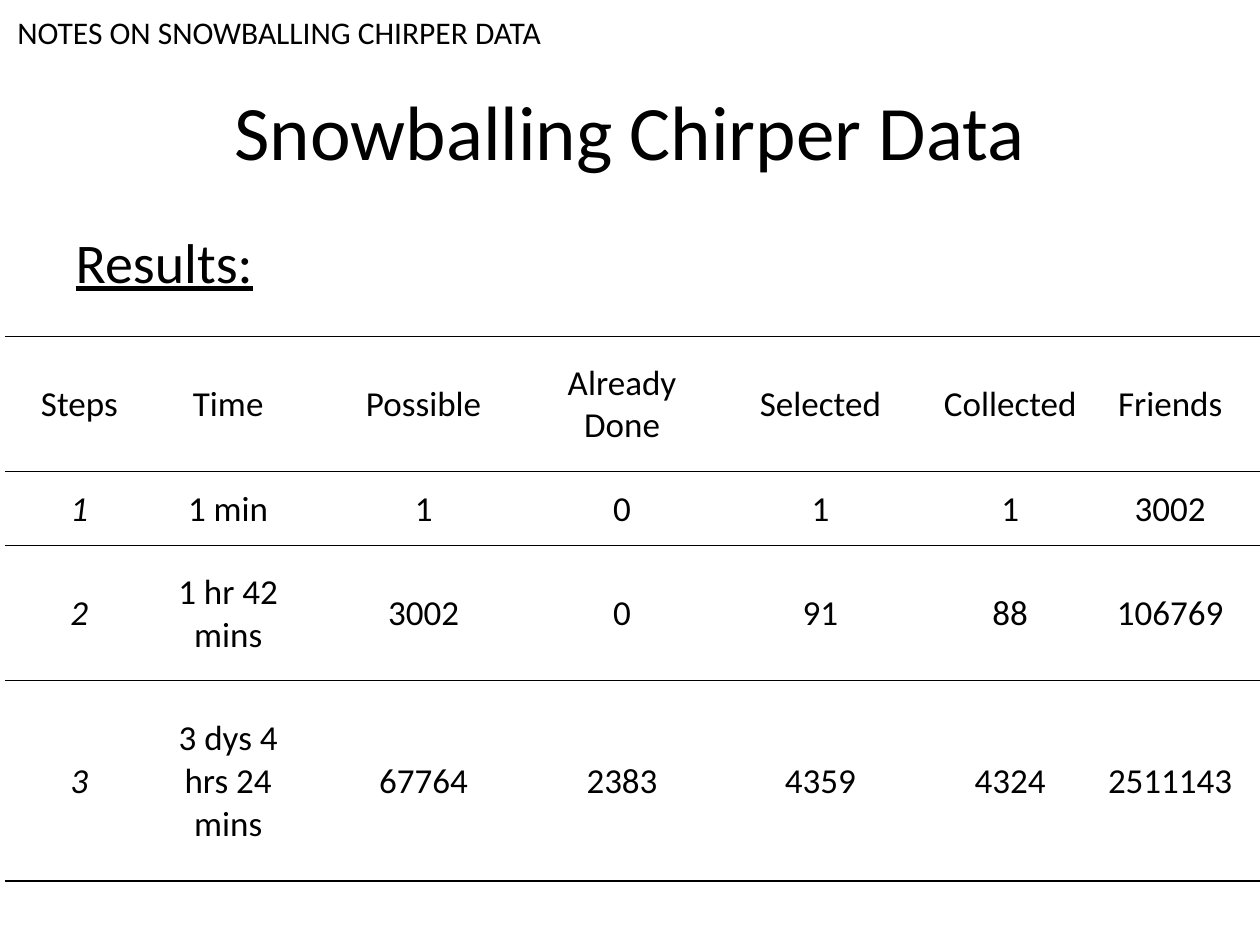
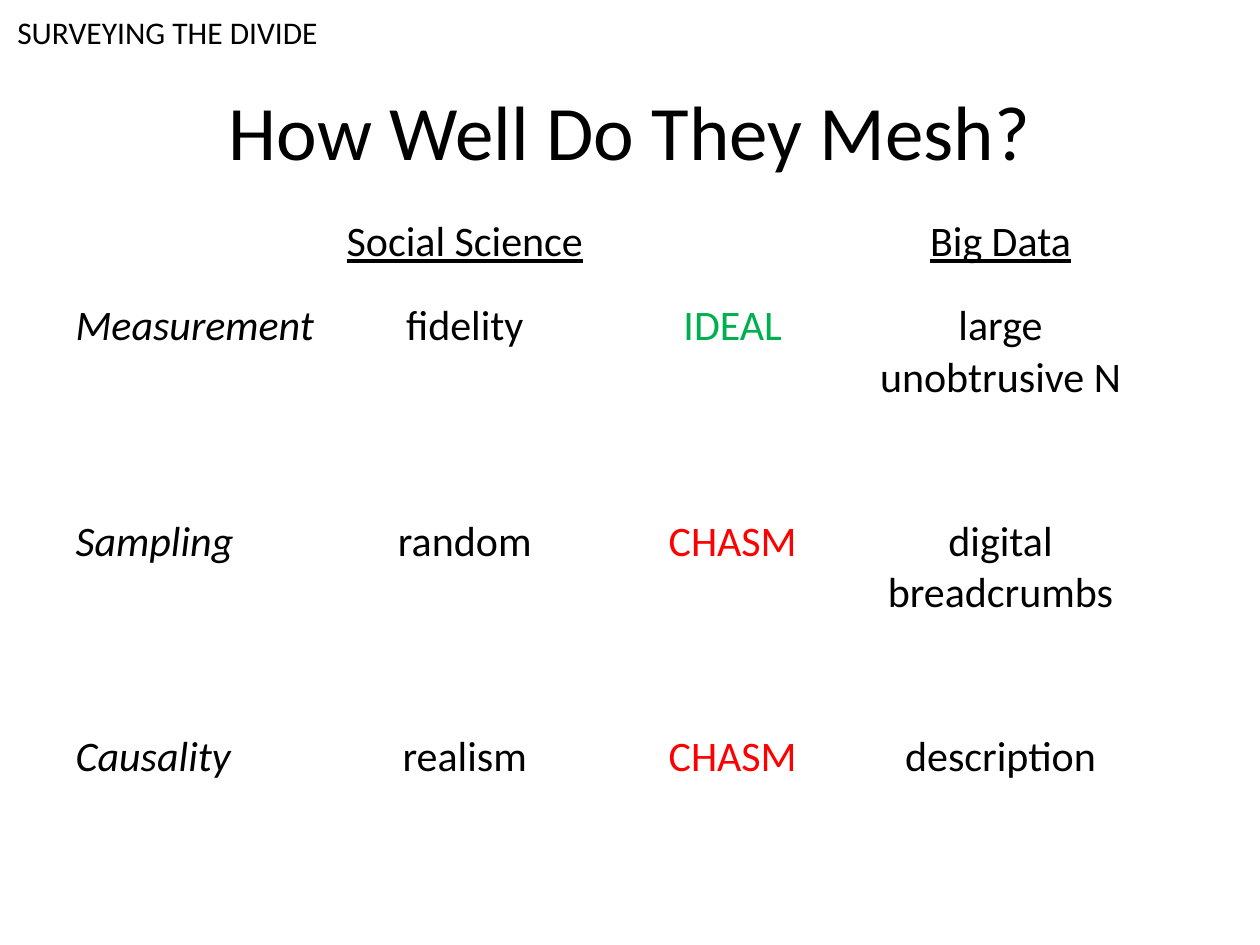
from lxml.etree import SubElement
from pptx import Presentation
from pptx.dml.color import RGBColor
from pptx.enum.text import MSO_ANCHOR, MSO_AUTO_SIZE, PP_ALIGN
from pptx.oxml.ns import qn
from pptx.util import Cm, Pt

FONT = "Calibri"
BLACK, GREEN, RED = "000000", "00B050", "FF0000"
PLAIN_TABLE_STYLE = "{2D5ABB26-0587-4C30-8999-92F81FD0307C}"
TITLE_AND_CONTENT, TITLE_ONLY = 1, 5
TITLE_BOX = (1.27, 1.27, 22.86, 2.67)
BODY_BOX = (1.27, 4.45, 22.86, 12.57)


def color(hex_string):
    """Turn a hex string into a colour."""
    return RGBColor.from_string(hex_string)


def format_text(text_frame, size, hex_color=BLACK, align=None, italic=None, underline=None):
    """Format every run of a text frame alike."""
    for paragraph in text_frame.paragraphs:
        paragraph.alignment = align
        for span in paragraph.runs:
            font = span.font
            font.name, font.size = FONT, Pt(size)
            font.color.rgb = color(hex_color)
            font.italic, font.underline = italic, underline


def place(shape, box):
    """Move a shape to a box of left, top, width and height in centimetres."""
    shape.left, shape.top, shape.width, shape.height = map(Cm, box)


def add_page(deck, layout, section, section_width, title):
    """Add a slide with its section label and its title."""
    page = deck.slides.add_slide(deck.slide_layouts[layout])
    place(page.shapes.title, TITLE_BOX)
    page.shapes.title.text_frame.text = title
    format_text(page.shapes.title.text_frame, 44, align=PP_ALIGN.CENTER)

    label = page.shapes.add_textbox(Cm(0.1), Cm(0.13), Cm(section_width), Cm(1.02))
    label.text_frame.word_wrap = True
    label.text_frame.auto_size = MSO_AUTO_SIZE.SHAPE_TO_FIT_TEXT
    label.text_frame.text = section
    format_text(label.text_frame, 18)
    return page


def add_heading(page, text):
    """Fill the body placeholder with an underlined heading without a bullet."""
    body = page.placeholders[1]
    place(body, BODY_BOX)
    body.text_frame.text = text
    format_text(body.text_frame, 32, underline=True)
    properties = body.text_frame.paragraphs[0]._p.get_or_add_pPr()
    properties.set("marL", "0")
    properties.set("indent", "0")
    SubElement(properties, qn("a:buNone"))


def add_grid(page, left, top, widths, heights, rows):
    """Add an unstyled table holding the given rows and return it."""
    frame = page.shapes.add_table(len(heights), len(widths), Cm(left), Cm(top),
                                  Cm(sum(widths)), Cm(sum(heights)))
    frame.element.find(".//" + qn("a:tableStyleId")).text = PLAIN_TABLE_STYLE
    table = frame.table
    table.first_row = table.horz_banding = False
    for column, width in zip(table.columns, widths):
        column.width = Cm(width)
    for row, height, texts in zip(table.rows, heights, rows):
        row.height = Cm(height)
        for cell, text in zip(row.cells, texts):
            cell.fill.background()
            cell.text_frame.text = text
    return table


def rule_cell(cell, sides):
    """Draw thin black lines along the given sides of a cell, T or B."""
    properties = cell._tc.get_or_add_tcPr()
    for position, side in enumerate(sides):
        line = SubElement(properties, qn(f"a:ln{side}"), w=str(Pt(1)))
        fill = SubElement(line, qn("a:solidFill"))
        SubElement(fill, qn("a:srgbClr"), val=BLACK)
        properties.insert(position, line)


def add_results_table(page, left, top):
    """Add the ruled table of snowballing results."""
    widths = (3, 3, 4.88, 3.12, 4.88, 2.77, 3.68)
    heights = (2.72, 1.5, 2.72, 4.04)
    rows = (
        ("Steps", "Time", "Possible", "Already Done", "Selected", "Collected", "Friends"),
        ("1", "1 min", "1", "0", "1", "1", "3002"),
        ("2", "1 hr 42 mins", "3002", "0", "91", "88", "106769"),
        ("3", "3 dys 4 hrs 24 mins", "67764", "2383", "4359", "4324", "2511143"),
    )
    row_rules = ("TB", "TB", "T", "B")
    table = add_grid(page, left, top, widths, heights, rows)
    for row_number, (row, sides) in enumerate(zip(table.rows, row_rules)):
        for column_number, cell in enumerate(row.cells):
            cell.vertical_anchor = MSO_ANCHOR.MIDDLE
            cell.margin_left = cell.margin_right = cell.margin_top = Cm(0.03)
            cell.margin_bottom = 0
            is_step = row_number > 0 and column_number == 0
            format_text(cell.text_frame, 20, align=PP_ALIGN.CENTER, italic=is_step)
            rule_cell(cell, sides)


def add_comparison_table(page, left, top):
    """Add the table that compares social science with big data."""
    rows = (
        ("", "Social Science", "", "Big Data"),
        ("Measurement", "fidelity", "IDEAL", "large unobtrusive N"),
        ("Sampling", "random", "CHASM", "digital breadcrumbs"),
        ("Causality", "realism", "CHASM", "description"),
    )
    verdict_colors = {"IDEAL": GREEN, "CHASM": RED}
    table = add_grid(page, left, top, [5.4] * 4, (1.7, 4.34, 4.34, 2.52), rows)
    for row_number, row in enumerate(table.rows):
        for column_number, cell in enumerate(row.cells):
            is_topic = column_number == 0
            format_text(cell.text_frame, 24,
                        verdict_colors.get(cell.text_frame.text, BLACK),
                        align=PP_ALIGN.LEFT if is_topic else PP_ALIGN.CENTER,
                        italic=is_topic, underline=row_number == 0)


def build():
    """Build and save the deck."""
    deck = Presentation()
    deck.slide_width, deck.slide_height = Cm(25.4), Cm(19.05)

    results = add_page(deck, TITLE_AND_CONTENT, "NOTES ON SNOWBALLING CHIRPER DATA",
                       11.96, "Snowballing Chirper Data")
    add_heading(results, "Results:")
    add_results_table(results, 0.1, 6.78)

    comparison = add_page(deck, TITLE_ONLY, "SURVEYING THE DIVIDE",
                          7.19, "How Well Do They Mesh?")
    add_comparison_table(comparison, 1.27, 4.24)

    deck.save("out.pptx")


build()
